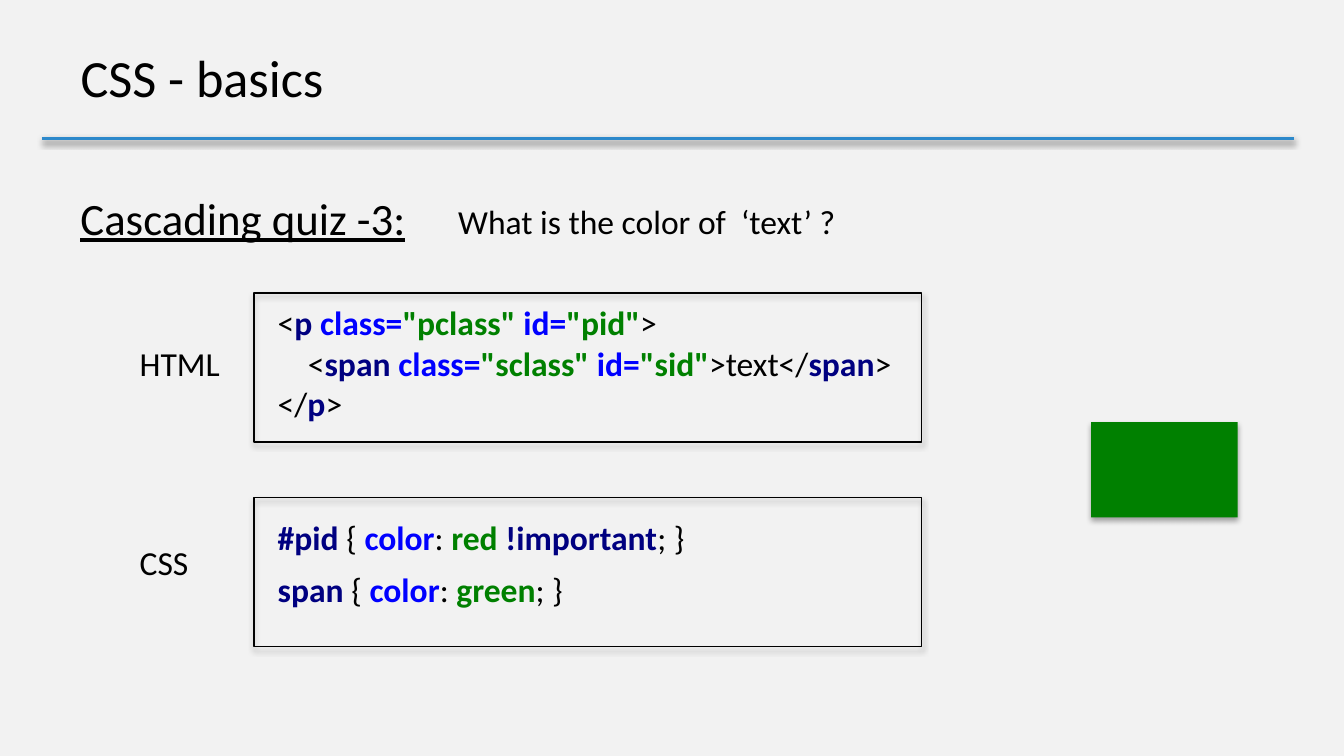
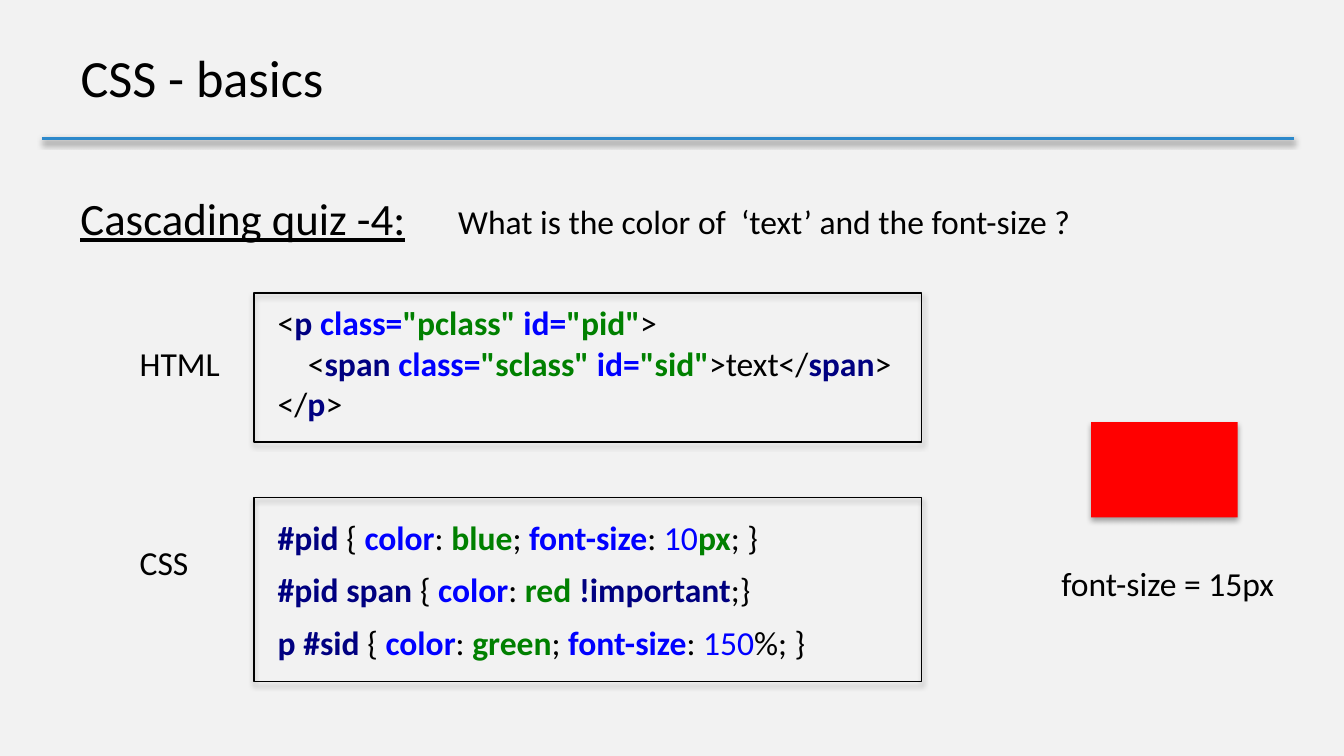
"""Build two CSS cascading quiz slides."""
from lxml import etree
from pptx import Presentation
from pptx.dml.color import RGBColor
from pptx.enum.shapes import MSO_CONNECTOR, MSO_SHAPE
from pptx.enum.text import MSO_ANCHOR, MSO_AUTO_SIZE, PP_ALIGN
from pptx.oxml.ns import qn
from pptx.util import Cm, Pt

RECTANGLE = MSO_SHAPE.RECTANGLE
STRAIGHT = MSO_CONNECTOR.STRAIGHT
MIDDLE, TOP = MSO_ANCHOR.MIDDLE, MSO_ANCHOR.TOP
LEFT = PP_ALIGN.LEFT
GROW, FIXED = MSO_AUTO_SIZE.SHAPE_TO_FIT_TEXT, MSO_AUTO_SIZE.NONE


class Theme:
    font = "Calibri"
    title_size, heading_size, body_size = Pt(28), Pt(24), Pt(18)
    background = RGBColor(0xF2, 0xF2, 0xF2)
    rule = RGBColor(0x2D, 0x89, 0xCB)
    black = RGBColor(0, 0, 0)
    navy = RGBColor(0, 0, 0x80)
    blue = RGBColor(0, 0, 0xFF)
    green = RGBColor(0, 0x80, 0)
    red = RGBColor(0xFF, 0, 0)
    syntax = {
        "plain": (black, False),
        "name": (navy, True),
        "property": (blue, True),
        "value": (green, True),
        "number": (blue, False),
    }


def write_text(shape, lines, size=Theme.body_size, underline=None, spacing=None,
               wrap=False, anchor=TOP, fit=GROW, indents=()):
    """Write a string, or lines of (text, syntax) pairs, into a shape."""
    if isinstance(lines, str):
        lines = [[(lines, "plain")]]
    frame = shape.text_frame
    frame.word_wrap = wrap
    frame.auto_size = fit
    frame.vertical_anchor = anchor
    for number, line in enumerate(lines):
        paragraph = frame.add_paragraph() if number else frame.paragraphs[0]
        paragraph.alignment = LEFT
        paragraph.line_spacing = spacing
        if number < len(indents):
            paragraph._p.get_or_add_pPr().set("marL", str(Cm(indents[number])))
        for text, syntax in line:
            run = paragraph.add_run()
            run.text = text
            run.font.name = Theme.font
            run.font.size = size
            run.font.underline = underline
            run.font.color.rgb, run.font.bold = Theme.syntax[syntax]


def cast_shadow(shape, opacity=35, distance=1.8):
    """Give a shape or connector a soft shadow below it."""
    effects = etree.SubElement(shape._element.spPr, qn("a:effectLst"))
    shadow = etree.SubElement(effects, qn("a:outerShdw"), blurRad=str(Pt(3.1)),
                              dist=str(Pt(distance)), dir="5400000", rotWithShape="0")
    color = etree.SubElement(shadow, qn("a:srgbClr"), val=str(Theme.black))
    etree.SubElement(color, qn("a:alpha"), val=str(opacity * 1000))


html_code = [
    [("<", "plain"), ("p ", "name"), ("class=", "property"), ('"pclass" ', "value"),
     ("id=", "property"), ('"pid"', "value"), (">", "plain")],
    [("<", "plain"), ("span ", "name"), ("class=", "property"), ('"sclass" ', "value"),
     ("id=", "property"), ('"sid"', "value"), (">text</", "plain"), ("span", "name"),
     (">", "plain")],
    [("</", "plain"), ("p", "name"), (">", "plain")],
]
color_rule = [("{ ", "plain"), ("color", "property"), (": ", "plain")]
size_rule = [("; ", "plain"), ("font-size", "property"), (": ", "plain")]
important_red = [("red ", "value"), ("!important", "name")]

quizzes = [
    {
        "heading": "Cascading quiz -3:",
        "question": "What is the color of  ‘text’ ?",
        "question_width": 7.72,
        "css": [
            [("#pid ", "name"), *color_rule, *important_red, ("; }", "plain")],
            [("span ", "name"), *color_rule, ("green", "value"), ("; }", "plain")],
        ],
        "css_width": 8.31,
        "css_frame_height": 2.82,
        "answer_color": Theme.green,
        "answer": None,
    },
    {
        "heading": "Cascading quiz -4:",
        "question": "What is the color of  ‘text’ and the font-size ?",
        "question_width": 12.27,
        "css": [
            [("#pid ", "name"), *color_rule, ("blue", "value"), *size_rule,
             ("10", "number"), ("px", "value"), ("; }", "plain")],
            [("#pid span ", "name"), *color_rule, *important_red, (";}", "plain")],
            [("p #sid ", "name"), *color_rule, ("green", "value"), *size_rule,
             ("150", "number"), ("%; }", "plain")],
        ],
        "css_width": 10.67,
        "css_frame_height": 3.48,
        "answer_color": Theme.red,
        "answer": "font-size = 15px",
    },
]

deck = Presentation()
deck.slide_width, deck.slide_height = Cm(25.4), Cm(14.29)
backdrop = deck.slide_master.background.fill
backdrop.solid()
backdrop.fore_color.rgb = Theme.background

for quiz in quizzes:
    slide = deck.slides.add_slide(deck.slide_layouts[5])
    shapes = slide.shapes

    title = shapes.title
    title.left, title.top, title.width, title.height = map(Cm, (1.27, 0.25, 22.86, 2.39))
    write_text(title, "CSS - basics", size=Theme.title_size, wrap=True,
               anchor=MIDDLE, fit=FIXED)

    title_rule = shapes.add_connector(STRAIGHT, *map(Cm, (0.79, 2.62, 24.46, 2.62)))
    title_rule.line.color.rgb = Theme.rule
    title_rule.line.width = Pt(2)
    cast_shadow(title_rule, opacity=38, distance=1.6)

    heading = shapes.add_textbox(*map(Cm, (1.27, 3.28, 12.7, 2.26)))
    write_text(heading, quiz["heading"], size=Theme.heading_size, underline=True,
               spacing=1.2, wrap=True)

    html = shapes.add_textbox(*map(Cm, (5, 5.59, 12.7, 2.57)))
    write_text(html, html_code, wrap=True, indents=(0, 0.57))

    css = shapes.add_textbox(*map(Cm, (5, 9.42, quiz["css_width"], 3.23)))
    write_text(css, quiz["css"], spacing=1.3)

    question = shapes.add_textbox(*map(Cm, (8.41, 3.68, quiz["question_width"], 1.02)))
    write_text(question, quiz["question"])

    swatch = shapes.add_shape(RECTANGLE, *map(Cm, (20.62, 7.98, 2.77, 1.8)))
    swatch.fill.solid()
    swatch.fill.fore_color.rgb = quiz["answer_color"]
    swatch.line.fill.background()
    cast_shadow(swatch)

    for language, top, width in (("HTML", 6.35, 2.06), ("CSS", 10.11, 1.45)):
        label = shapes.add_textbox(*map(Cm, (2.39, top, width, 1.02)))
        write_text(label, language)

    for top, height in ((5.54, 2.82), (9.4, quiz["css_frame_height"])):
        code_frame = shapes.add_shape(RECTANGLE, *map(Cm, (4.8, top, 12.62, height)))
        code_frame.fill.background()
        code_frame.line.color.rgb = Theme.black
        code_frame.line.width = Pt(0.75)
        cast_shadow(code_frame)

    if quiz["answer"]:
        answer = shapes.add_textbox(*map(Cm, (19.81, 10.52, 4.65, 1.02)))
        write_text(answer, quiz["answer"])

deck.save("out.pptx")
